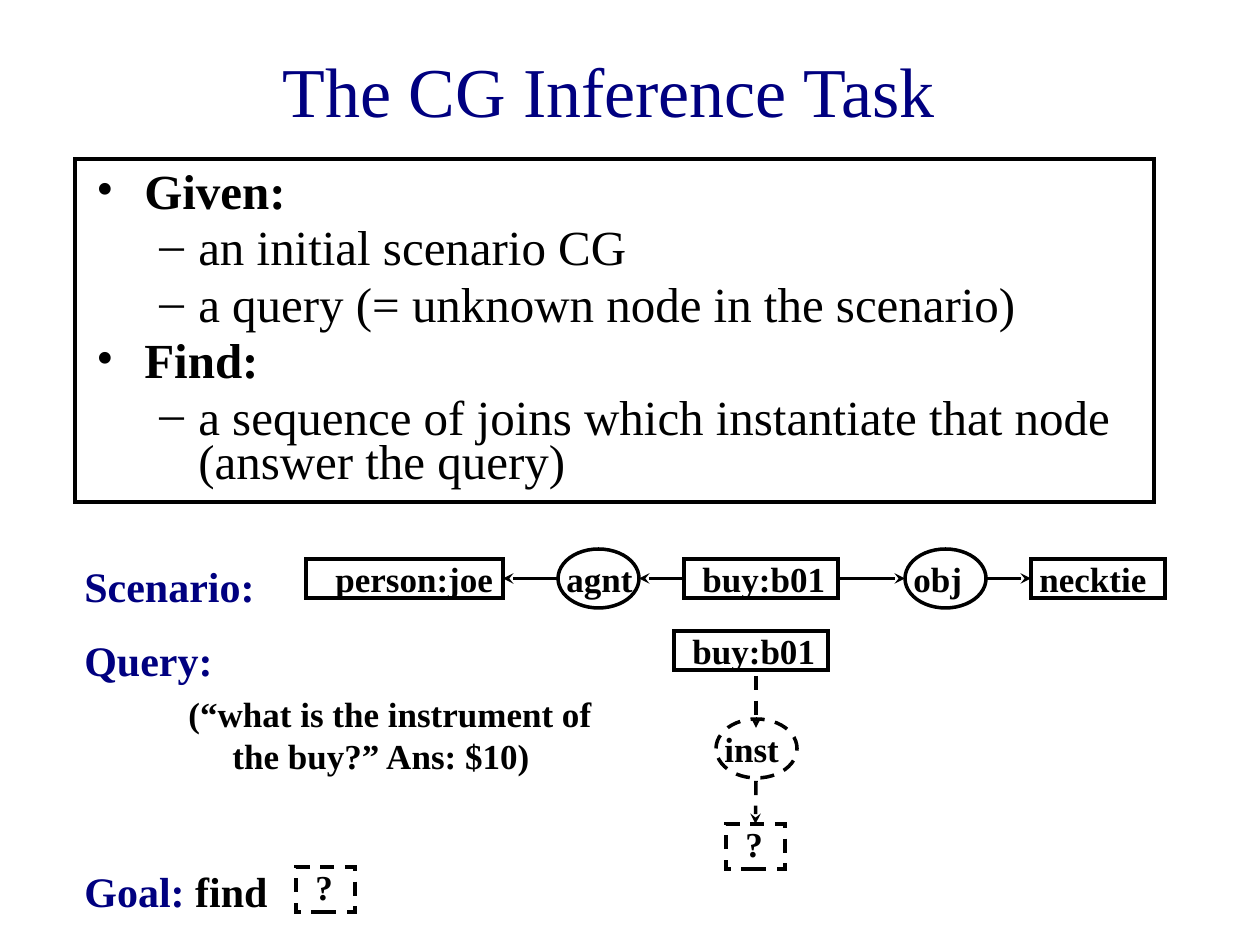
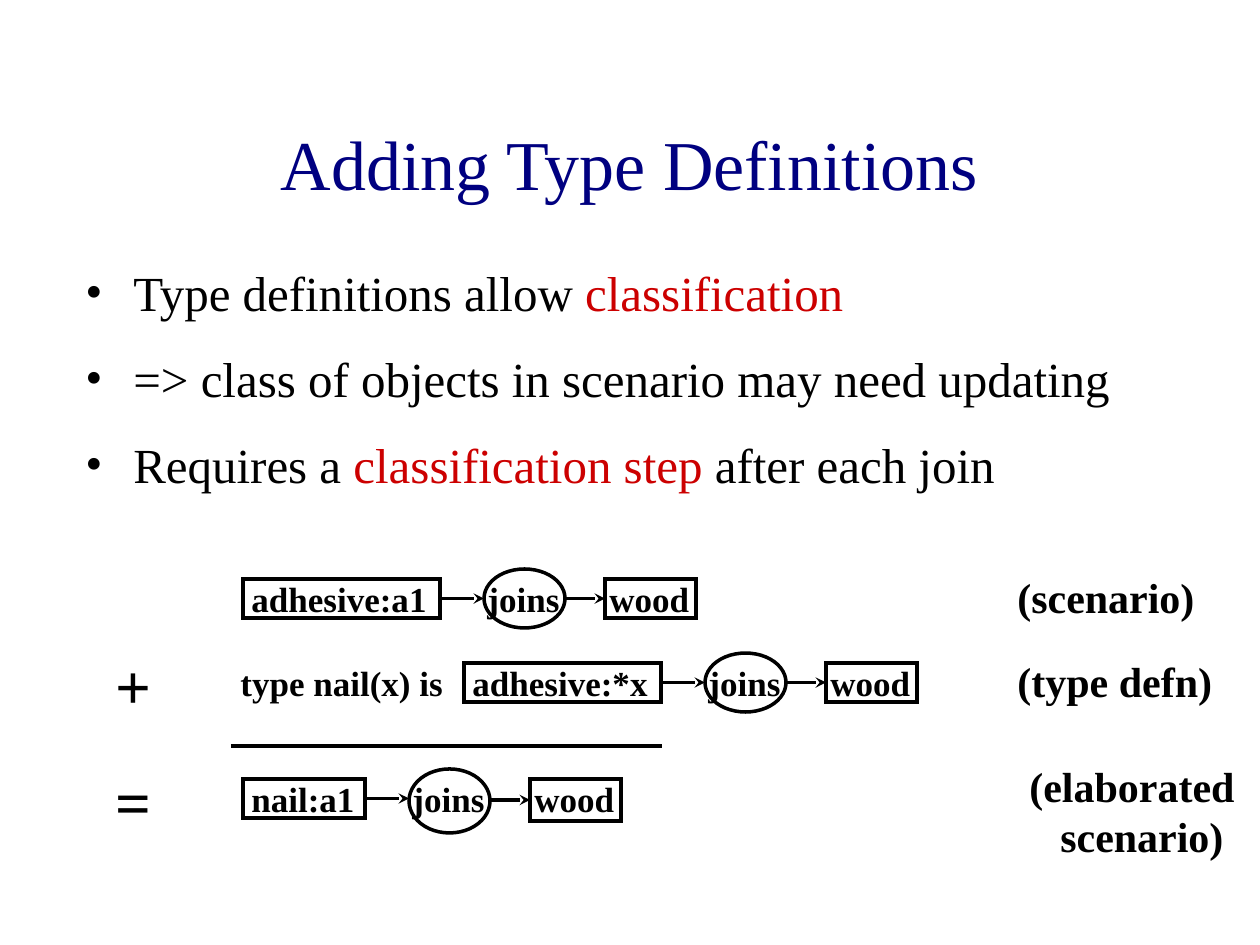
import dataclasses

import lxml.etree
import pptx
import pptx.dml.color
import pptx.enum.dml
import pptx.enum.shapes
import pptx.enum.text
import pptx.oxml.ns
import pptx.util

SCALE = 914400 / 126
SLACK = 10
RECT = pptx.enum.shapes.MSO_SHAPE.RECTANGLE
OVAL = pptx.enum.shapes.MSO_SHAPE.OVAL


@dataclasses.dataclass
class Theme:
    font: str = "Times New Roman"
    black: str = "000000"
    navy: str = "000080"
    red: str = "CC0000"
    head: int = 40
    sign: int = 36
    body: int = 28
    note: int = 24
    node: int = 20
    line: int = 2
    gap: int = 7


def px(count):
    return pptx.util.Emu(round(count * SCALE))


def add(parent, tag, **attrs):
    return lxml.etree.SubElement(parent, pptx.oxml.ns.qn(tag), **attrs)


class Deck:
    def __init__(self, theme):
        self.theme = theme
        self.show = pptx.Presentation()
        self.show.slide_width = px(1260)
        self.show.slide_height = px(945)
        self.slide = None

    def page(self, title, x, y):
        self.slide = self.show.slides.add_slide(self.show.slide_layouts[6])
        frame = self.box(x, y, 1071, 158)
        frame.vertical_anchor = pptx.enum.text.MSO_ANCHOR.MIDDLE
        para = frame.paragraphs[0]
        para.alignment = pptx.enum.text.PP_ALIGN.CENTER
        self.run(para, title, self.theme.head, self.theme.navy)

    def box(self, x, y, w, h):
        frame = self.slide.shapes.add_textbox(px(x), px(y), px(w), px(h)).text_frame
        frame.word_wrap = True
        return frame

    def run(self, para, text, size, color=None, bold=False):
        run = para.add_run()
        run.text = text
        run.font.name = self.theme.font
        run.font.size = pptx.util.Pt(size)
        run.font.bold = bold
        run.font.color.rgb = pptx.dml.color.RGBColor.from_string(color or self.theme.black)

    def label(self, x, y, w, h, size, *runs):
        frame = self.box(x, y, w + SLACK, h)
        for text, color in runs:
            self.run(frame.paragraphs[0], text, size, color, True)
        return frame

    def more(self, frame, text, size, inset):
        para = frame.add_paragraph()
        para._p.get_or_add_pPr().set("marL", str(px(inset)))
        self.run(para, text, size, bold=True)

    def points(self, x, y, pitch, items):
        frame = self.box(x, y, 1071, 567)
        for index, (level, bold, runs) in enumerate(items):
            para = frame.add_paragraph() if index else frame.paragraphs[0]
            para.level = level
            para.line_spacing = pitch
            para.space_before = pptx.util.Pt(self.theme.gap if index else 0)
            left, hang, mark = ((48, 48, "•"), (102, 39, "–"))[level]
            props = para._p.get_or_add_pPr()
            props.set("marL", str(px(left)))
            props.set("indent", str(px(-hang)))
            add(add(props, "a:buClr"), "a:srgbClr", val=self.theme.black)
            add(props, "a:buFont", typeface=self.theme.font)
            add(props, "a:buChar", char=mark)
            for text, color in runs:
                self.run(para, text, self.theme.body, color, bold)

    def pen(self, line, dash):
        line.color.rgb = pptx.dml.color.RGBColor.from_string(self.theme.black)
        line.width = pptx.util.Pt(self.theme.line)
        if dash:
            line.dash_style = pptx.enum.dml.MSO_LINE.DASH
        add(line._get_or_add_ln(), "a:miter", lim="800000")

    def shape(self, kind, x, y, w, h, dash=False):
        shape = self.slide.shapes.add_shape(kind, px(x), px(y), px(w), px(h))
        shape.shadow.inherit = False
        shape.fill.background()
        self.pen(shape.line, dash)
        return shape

    def node(self, kind, text, x, mid, w, shift, wide, extra=0, dash=False):
        half = 20 if kind == RECT else 30
        shape = self.shape(kind, x, mid - half, w, 2 * half - 1 + extra, dash)
        self.label(x + shift, mid - 28, wide, 54, self.theme.node, (text, None))
        return shape

    def wire(self, start, end, dash=False, tip=True):
        wire = self.slide.shapes.add_connector(
            pptx.enum.shapes.MSO_CONNECTOR.STRAIGHT, *start, *end)
        self.pen(wire.line, dash)
        if tip:
            add(wire.line._get_or_add_ln(), "a:tailEnd", type="stealth")
        add(wire._element.spPr, "a:effectLst")
        return wire

    def link(self, left, right, back=False):
        box = left if left.auto_shape_type == RECT else right
        level = box.top + box.height // 2
        ends = [(left.left + left.width, level), (right.left, level)]
        wire = self.wire(*(reversed(ends) if back else ends))
        join = wire.begin_connect if (box is left) != back else wire.end_connect
        join(box, 3 if box is left else 1)

    def joins(self, text, x, mid, w, wide, oval=0, wood=0):
        first = self.node(RECT, text, x, mid, w, -4, wide)
        x += w + 44
        ring = self.node(OVAL, "joins", x, mid, 81, -9, 97, oval)
        last = self.node(RECT, "wood", x + 121, mid, 91, -8, 106, wood)
        self.link(first, ring)
        self.link(ring, last)


def task(deck):
    theme = deck.theme
    deck.page("The CG Inference Task", 73, 10)
    deck.points(84, 168, 0.75, [
        (0, True, [("Given:", None)]),
        (1, False, [("an initial scenario CG", None)]),
        (1, False, [("a query (= unknown node in the scenario)", None)]),
        (0, True, [("Find:", None)]),
        (1, False, [("a sequence of joins which instantiate that node "
                     "(answer the query)", None)]),
    ])
    deck.shape(RECT, 75, 159, 1079, 343)

    joe = deck.node(RECT, "person:joe", 306, 579, 197, 17, 183)
    agent = deck.node(OVAL, "agnt", 558, 579, 81, -4, 92)
    buy = deck.node(RECT, "buy:b01", 684, 579, 154, 6, 149)
    thing = deck.node(OVAL, "obj", 905, 579, 81, -4, 74)
    tie = deck.node(RECT, "necktie", 1031, 579, 134, -4, 132)
    deck.link(joe, agent, back=True)
    deck.link(agent, buy, back=True)
    deck.link(buy, thing)
    deck.link(thing, tie)

    deck.node(RECT, "buy:b01", 674, 651, 154, 6, 149)
    deck.node(OVAL, "inst", 716, 749, 81, -4, 81, dash=True)
    query = deck.node(RECT, "?", 726, 844, 59, 7, 43, 6, dash=True)
    deck.wire((px(756), px(676)), (px(756), px(728)), dash=True)
    drop = deck.wire((px(756), px(781)), (px(756), px(824)), dash=True)
    drop.end_connect(query, 0)

    deck.label(72, 554, 195, 63, theme.note, ("Scenario:", theme.navy))
    deck.label(72, 628, 154, 63, theme.note, ("Query:", theme.navy))
    deck.label(72, 859, 209, 63, theme.note, ("Goal: ", theme.navy), ("find", None))
    deck.node(RECT, "?", 296, 887, 59, 7, 43, 6, dash=True)
    hint = deck.label(176, 686, 437, 97, theme.node, ("(“what is the instrument of", None))
    deck.more(hint, "the buy?” Ans: $10)", theme.node, 44)


def types(deck):
    theme = deck.theme
    deck.page("Adding Type Definitions", 94, 84)
    deck.points(73, 242, 1.25, [
        (0, False, [("Type definitions allow ", None), ("classification", theme.red)]),
        (0, False, [("=> class of objects in scenario may need updating", None)]),
        (0, False, [("Requires a ", None), ("classification step", theme.red),
                    (" after each join", None)]),
    ])
    deck.joins("adhesive:a1", 243, 599, 197, 200)
    deck.label(228, 655, 228, 54, theme.node, ("type nail(x) is", None))
    deck.joins("adhesive:*x", 464, 683, 197, 200)
    deck.wire((px(231), px(746)), (px(662), px(746)), tip=False)
    deck.joins("nail:a1", 243, 799, 122, 129, oval=5, wood=3)

    deck.label(1005, 565, 203, 63, theme.note, ("(scenario)", None))
    deck.label(1005, 649, 220, 63, theme.note, ("(type defn)", None))
    result = deck.label(1017, 754, 231, 113, theme.note, ("(elaborated", None))
    deck.more(result, "scenario)", theme.note, 31)
    for sign, y in (("+", 640), ("=", 756)):
        deck.label(103, y, 62, 88, theme.sign, (sign, None))


def main():
    deck = Deck(Theme())
    task(deck)
    types(deck)
    deck.show.save("out.pptx")


if __name__ == "__main__":
    main()
